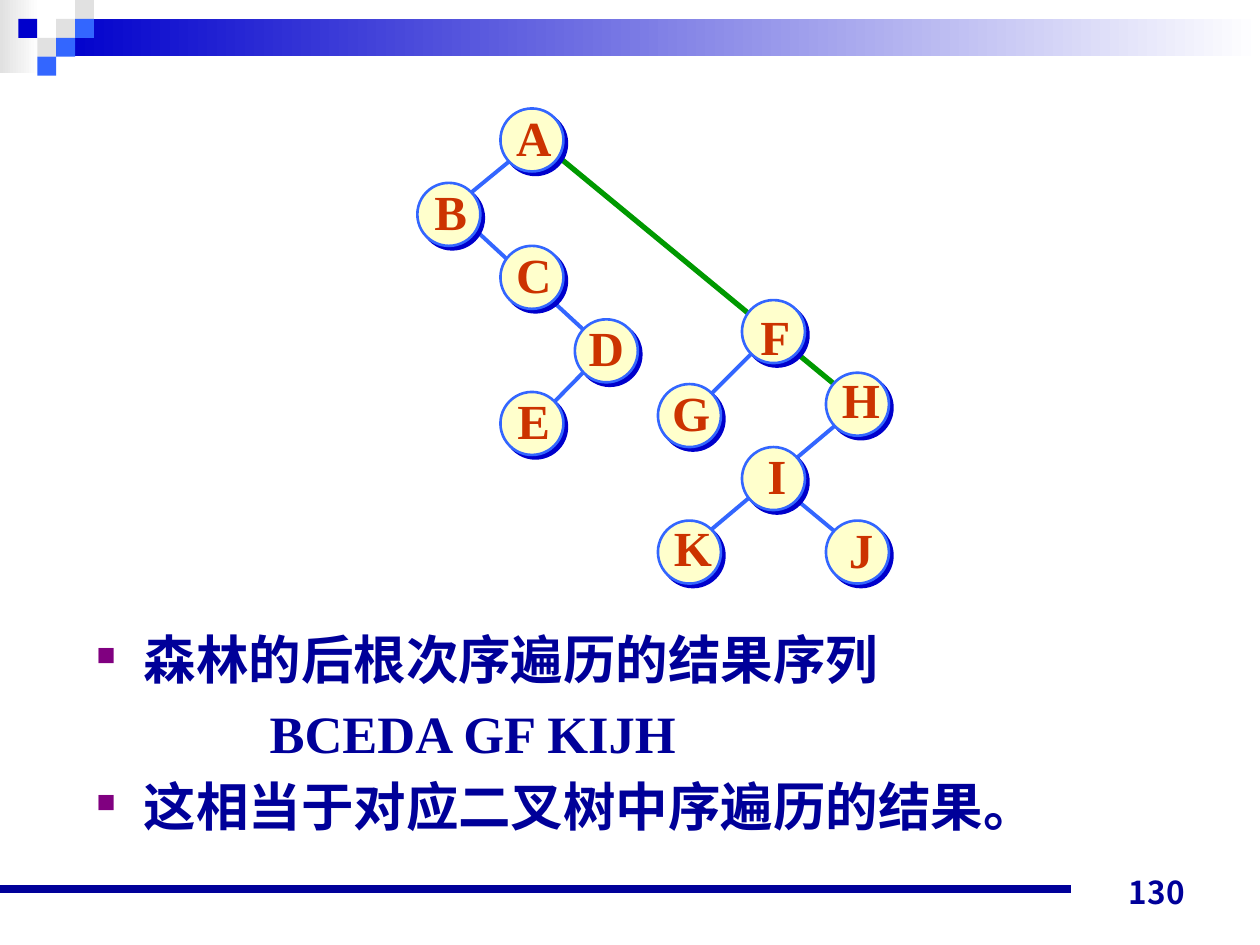
from dataclasses import dataclass

from lxml import etree
from pptx import Presentation
from pptx.dml.color import RGBColor
from pptx.enum.shapes import MSO_CONNECTOR, MSO_SHAPE
from pptx.enum.text import MSO_ANCHOR, PP_ALIGN
from pptx.oxml.ns import qn
from pptx.util import Pt

RECTANGLE, OVAL = MSO_SHAPE.RECTANGLE, MSO_SHAPE.OVAL
STRAIGHT = MSO_CONNECTOR.STRAIGHT
MIDDLE, BOTTOM = MSO_ANCHOR.MIDDLE, MSO_ANCHOR.BOTTOM
LEFT, CENTER, RIGHT = PP_ALIGN.LEFT, PP_ALIGN.CENTER, PP_ALIGN.RIGHT


@dataclass(frozen=True)
class Theme:
    navy: str = "000099"
    blue: str = "0000CC"
    sky: str = "3366FF"
    grey: str = "E1E1E1"
    white: str = "FFFFFF"
    green: str = "009900"
    cream: str = "FFFFCC"
    red: str = "CC3300"
    purple: str = "800080"
    serif: str = "Times New Roman"
    sans: str = "Noto Sans CJK JP"
    body_size: int = 30
    node_size: int = 28
    number_size: int = 18


THEME = Theme()
NODE_DIAMETER = 36
LABEL_HEIGHT = 41

# Letter: node left, node top, label width, label shift right, label shift down
NODES = {
    "A": (47.5, 0, 34.5, 1, -2),
    "B": (0, 42.5, 33, 1, -2),
    "C": (47.5, 78.5, 34.5, 1, -2),
    "D": (90, 120.5, 34.5, 0, -2),
    "E": (47.5, 162, 33, 1, -2),
    "F": (185.5, 109.5, 31.5, 1, 2.5),
    "G": (137.5, 157.5, 36, 1, -2),
    "H": (233.5, 151, 36, 2, -3),
    "I": (185.5, 193.5, 25.5, 2, -2),
    "K": (137.5, 235.5, 36, 2, -3),
    "J": (233.5, 235.5, 29, 2, -2),
}

# Start x, start y, end x, end y, colour, width; some lines run under several nodes
BRANCHES = [
    (77.5, 25, 245.5, 163.5, THEME.green, 3),
    (101.5, 144, 72, 174, THEME.sky, 2.25),
    (23.5, 60.5, 101.5, 132.5, THEME.sky, 2.25),
    (59.5, 24.5, 23.5, 54, THEME.sky, 2.25),
    (216, 223, 245.5, 247.5, THEME.sky, 2.25),
    (245.5, 175.5, 167.5, 241, THEME.sky, 2.25),
    (198, 133, 162, 169, THEME.sky, 2.25),
]

# Text, left margin, first-line indent, bulleted
BODY = [
    ("森林的后根次序遍历的结果序列", 27, -27, True),
    ("BCEDA GF KIJH", 99, 0, False),
    ("这相当于对应二叉树中序遍历的结果。", 27, -27, True),
]


def color(value):
    return RGBColor.from_string(value)


def add_line(slide, start_x, start_y, end_x, end_y, line_color, width):
    line = slide.shapes.add_connector(
        STRAIGHT, Pt(start_x), Pt(start_y), Pt(end_x), Pt(end_y))
    line.line.color.rgb = color(line_color)
    line.line.width = Pt(width)
    etree.SubElement(line._element.spPr, qn("a:effectLst"))


def add_block(slide, left, top, width, height, fill, fade_to=None):
    block = slide.shapes.add_shape(
        RECTANGLE, Pt(left), Pt(top), Pt(width), Pt(height))
    block.shadow.inherit = False
    block.line.fill.background()
    if fade_to is None:
        block.fill.solid()
        block.fill.fore_color.rgb = color(fill)
        return
    block.fill.gradient()
    block.fill.gradient_angle = 0
    for stop, value in zip(block.fill.gradient_stops, (fill, fade_to)):
        stop.color.rgb = color(value)


def add_text_frame(slide, left, top, width, height, wrap=True):
    box = slide.shapes.add_textbox(Pt(left), Pt(top), Pt(width), Pt(height))
    box.text_frame.word_wrap = wrap
    return box.text_frame


def style(paragraph, font_name, size, font_color, alignment):
    paragraph.alignment = alignment
    font = paragraph.font
    font.name, font.size, font.bold = font_name, Pt(size), True
    font.color.rgb = color(font_color)
    defaults = paragraph._p.pPr.find(qn("a:defRPr"))
    etree.SubElement(defaults, qn("a:ea"), typeface=THEME.sans)


def add_bullet(properties):
    bullet_color = etree.SubElement(properties, qn("a:buClr"))
    etree.SubElement(bullet_color, qn("a:srgbClr"), val=THEME.purple)
    etree.SubElement(properties, qn("a:buSzPct"), val="50000")
    etree.SubElement(properties, qn("a:buChar"), char="■")


def add_node(slide, left, top):
    node = slide.shapes.add_shape(
        OVAL, Pt(left), Pt(top), Pt(NODE_DIAMETER), Pt(NODE_DIAMETER))
    node.fill.solid()
    node.fill.fore_color.rgb = color(THEME.cream)
    node.line.color.rgb = color(THEME.sky)
    node.line.width = Pt(1.5)
    # Hard shadow to the lower right
    effects = etree.SubElement(node._element.spPr, qn("a:effectLst"))
    shadow = etree.SubElement(
        effects, qn("a:outerShdw"), blurRad="0", dist=str(Pt(2.8)),
        dir="2700000", algn="ctr", rotWithShape="0")
    etree.SubElement(shadow, qn("a:srgbClr"), val=THEME.blue)


def draw_banner(slide, left, top, width):
    cell = 10.8
    add_block(slide, left, top, 22.5, 42, THEME.grey, THEME.white)
    add_block(slide, left + 32.4, top + cell, width - 32.4, 21.5,
              THEME.blue, THEME.white)
    # Checker squares as column, row, colour
    squares = [(2, 1, THEME.grey), (3, 0, THEME.grey), (3, 1, THEME.sky),
               (1, 2, THEME.grey), (0, 1, THEME.blue), (2, 2, THEME.sky),
               (1, 3, THEME.sky)]
    for column, row, fill in squares:
        add_block(slide, left + 10.5 + column * cell, top + row * cell,
                  cell, cell, fill)


def draw_footer(slide, left, top, width):
    add_line(slide, left, top, left + 0.85 * width, top, THEME.navy, 4.5)
    frame = add_text_frame(slide, left + 516, top - 20, 168, 36)
    frame.vertical_anchor = BOTTOM
    paragraph = frame.paragraphs[0]
    paragraph.text = "130"
    style(paragraph, THEME.sans, THEME.number_size, THEME.navy, RIGHT)


def draw_tree(slide, left, top):
    for start_x, start_y, end_x, end_y, line_color, width in BRANCHES:
        add_line(slide, left + start_x, top + start_y,
                 left + end_x, top + end_y, line_color, width)
    for letter, (x, y, label_width, shift_x, shift_y) in NODES.items():
        add_node(slide, left + x, top + y)
        frame = add_text_frame(
            slide,
            left + x + (NODE_DIAMETER - label_width) / 2 + shift_x,
            top + y + (NODE_DIAMETER - LABEL_HEIGHT) / 2 + shift_y,
            label_width, LABEL_HEIGHT, wrap=False)
        frame.vertical_anchor = MIDDLE
        paragraph = frame.paragraphs[0]
        paragraph.text = letter
        style(paragraph, THEME.serif, THEME.node_size, THEME.red, CENTER)


def draw_body(slide, left, top, width, height):
    frame = add_text_frame(slide, left, top, width, height)
    for index, (text, margin, indent, bulleted) in enumerate(BODY):
        paragraph = frame.add_paragraph() if index else frame.paragraphs[0]
        paragraph.text = text
        if index:
            paragraph.space_before = Pt(6)
        properties = paragraph._p.get_or_add_pPr()
        properties.set("marL", str(Pt(margin)))
        properties.set("indent", str(Pt(indent)))
        if bulleted:
            add_bullet(properties)
        style(paragraph, THEME.serif, THEME.body_size, THEME.navy, LEFT)


def main():
    presentation = Presentation()
    presentation.slide_width, presentation.slide_height = Pt(720), Pt(540)
    slide = presentation.slides.add_slide(presentation.slide_layouts[6])
    draw_banner(slide, 0, 0, 720)
    draw_footer(slide, 0, 508, 720)
    draw_tree(slide, 238.5, 62)
    draw_body(slide, 48, 355, 648, 147.5)
    presentation.save("out.pptx")


if __name__ == "__main__":
    main()
